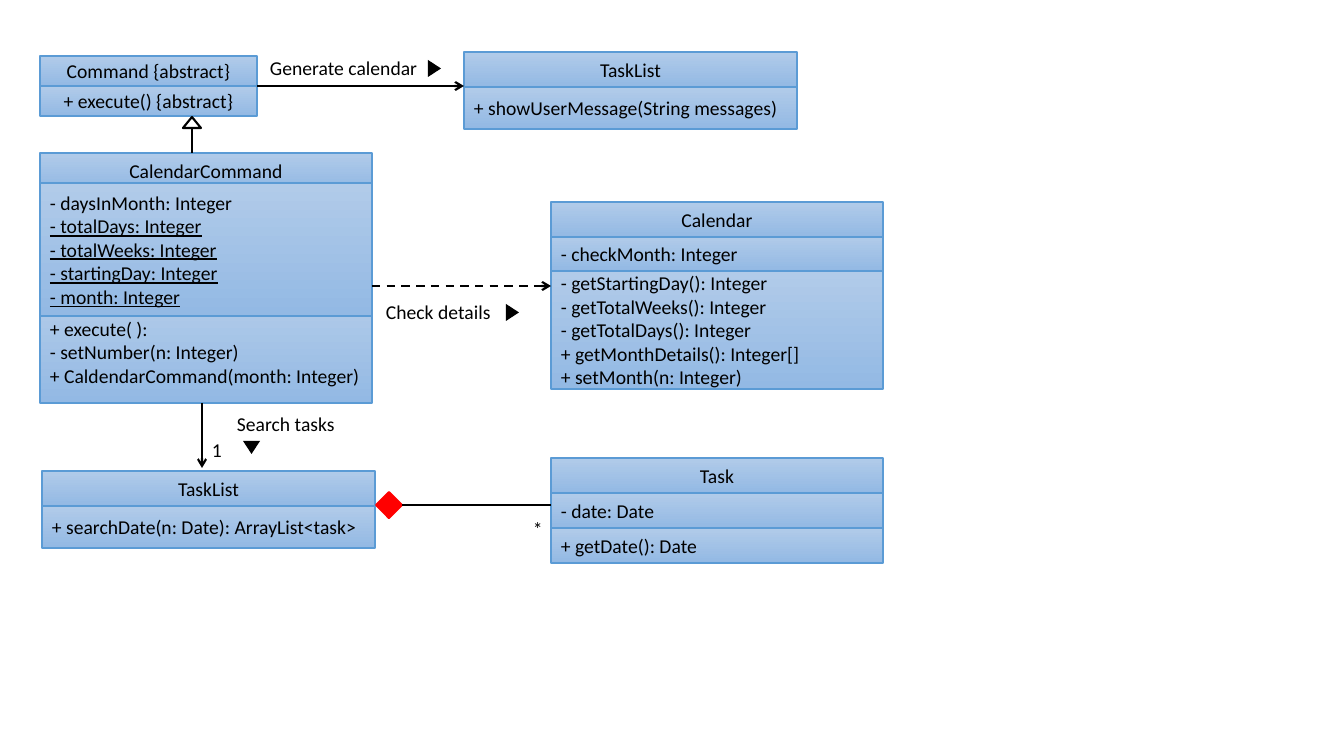
from lxml.etree import SubElement
from pptx import Presentation
from pptx.dml.color import RGBColor
from pptx.enum.dml import MSO_LINE
from pptx.enum.shapes import MSO_CONNECTOR, MSO_SHAPE
from pptx.enum.text import MSO_ANCHOR, PP_ALIGN
from pptx.oxml.ns import qn
from pptx.util import Emu, Pt

PX = 914400 / 100.8

THEME = {
    "font": "Calibri", "size": Pt(14), "line": Pt(1.5),
    "ink": "000000", "border": "5B9BD5", "top": "B1CBE9", "bottom": "93B9E4",
    "paper": "FFFFFF", "red": "FF0000",
}

# Classes: left, top, width, compartments from back to front.
# Compartment: offset from the class top, height, centred, lines.
CLASSES = [
    (40, 56, 217, [
        (0, 30, True, ["Command {abstract}"]),
        (30, 30, True, ["+ execute() {abstract}"])]),
    (464, 52, 333, [
        (0, 35, True, ["TaskList"]),
        (35, 42, False, ["+ showUserMessage(String messages)"])]),
    (40, 153, 332, [
        (148, 102, False, ["+ execute( ):", "- setNumber(n: Integer)",
                           "+ CaldendarCommand(month: Integer)"]),
        (0, 35, True, ["CalendarCommand"]),
        (30, 133, False, ["- daysInMonth: Integer", "- totalDays: Integer",
                          "- totalWeeks: Integer", "- startingDay: Integer",
                          "- month: Integer"])]),
    (551, 202, 332, [
        (34, 35, False, ["- checkMonth: Integer"]),
        (69, 118, False, ["- getStartingDay(): Integer", "- getTotalWeeks(): Integer",
                          "- getTotalDays(): Integer", "+ getMonthDetails(): Integer[]",
                          "+ setMonth(n: Integer)"]),
        (0, 35, True, ["Calendar"])]),
    (42, 471, 333, [
        (35, 42, False, ["+ searchDate(n: Date): ArrayList<task>"]),
        (0, 35, True, ["TaskList"])]),
    (551, 458, 332, [
        (35, 35, False, ["- date: Date"]),
        (0, 35, True, ["Task"]),
        (70, 35, False, ["+ getDate(): Date"])]),
]
STATIC = {"- totalDays: Integer", "- totalWeeks: Integer",
          "- startingDay: Integer", "- month: Integer"}

# Labels: text, left, top, width
LABELS = [
    ("Generate calendar", 260, 51, 174),
    ("Check details", 376, 295, 174),
    ("Search tasks", 227, 407, 174),
    ("1", 202, 433, 70),
    ("*", 523, 512, 70),
]

# Reading direction triangles: left, top, rotation
READING = [(426, 62, 90), (504, 306, 90), (243, 441, 180)]

# Relations: start, end, open arrow, dashed
RELATIONS = [
    ((192, 153), (192, 128), False, False),
    ((257, 86), (464, 86), True, False),
    ((372, 286), (551, 286), True, True),
    ((202, 403), (202, 468), True, False),
]
INHERITANCE = (183, 117, 18, 11)
COMPOSITION = (376, 492, 26, 26)
COMPOSITION_END = (551, 505)


def px(*values):
    return [Emu(round(v * PX)) for v in values]


def color(name):
    return RGBColor.from_string(THEME[name])


def write(s, lines, centred=False):
    tf = s.text_frame
    tf.word_wrap = True
    tf.text = "\n".join(lines)
    for p in tf.paragraphs:
        p.alignment = PP_ALIGN.CENTER if centred else PP_ALIGN.LEFT
        for r in p.runs:
            r.font.name, r.font.size = THEME["font"], THEME["size"]
            r.font.color.rgb = color("ink")
            if r.text in STATIC:
                r.font.underline = True


def add_compartment(shapes, box, centred, lines):
    s = shapes.add_shape(MSO_SHAPE.RECTANGLE, *px(*box))
    s.shadow.inherit = False
    s.fill.gradient()
    s.fill.gradient_angle = 270
    for stop, name in zip(s.fill.gradient_stops, ("top", "bottom")):
        stop.color.rgb = color(name)
    s.line.color.rgb, s.line.width = color("border"), THEME["line"]
    s.text_frame.vertical_anchor = MSO_ANCHOR.MIDDLE
    write(s, lines, centred)


def add_marker(shapes, kind, box, fill, line=None, rotation=0):
    s = shapes.add_shape(kind, *px(*box))
    s.shadow.inherit = False
    s.rotation = rotation
    s.fill.solid()
    s.fill.fore_color.rgb = color(fill)
    if line:
        s.line.color.rgb, s.line.width = color(line), THEME["line"]
    else:
        s.line.fill.background()
    return s


def add_relation(shapes, start, end, arrow=False, dashed=False):
    c = shapes.add_connector(MSO_CONNECTOR.STRAIGHT, *px(*start, *end))
    c.line.color.rgb, c.line.width = color("ink"), THEME["line"]
    if dashed:
        c.line.dash_style = MSO_LINE.DASH
    if arrow:
        SubElement(c.line._get_or_add_ln(), qn("a:tailEnd"), type="arrow")
    SubElement(c._element.spPr, qn("a:effectLst"))
    return c


def main():
    prs = Presentation()
    prs.slide_width, prs.slide_height = px(1344, 756)
    shapes = prs.slides.add_slide(prs.slide_layouts[6]).shapes

    # Class boxes
    for left, top, width, compartments in CLASSES:
        for offset, height, centred, lines in compartments:
            add_compartment(shapes, (left, top + offset, width, height), centred, lines)

    # Relations and their end markers
    for relation in RELATIONS:
        add_relation(shapes, *relation)
    add_marker(shapes, MSO_SHAPE.ISOSCELES_TRIANGLE, INHERITANCE, "paper", "ink")
    diamond = add_marker(shapes, MSO_SHAPE.FLOWCHART_DECISION, COMPOSITION, "red", "red")
    left, top, width, height = COMPOSITION
    c = add_relation(shapes, (left + width, top + height / 2), COMPOSITION_END)
    c.begin_connect(diamond, 3)

    # Labels with reading directions
    for text, left, top, width in LABELS:
        write(shapes.add_textbox(*px(left, top, width, 34)), [text])
    for left, top, rotation in READING:
        add_marker(shapes, MSO_SHAPE.ISOSCELES_TRIANGLE, (left, top, 17, 13),
                   "ink", rotation=rotation)

    prs.save("out.pptx")


if __name__ == "__main__":
    main()
